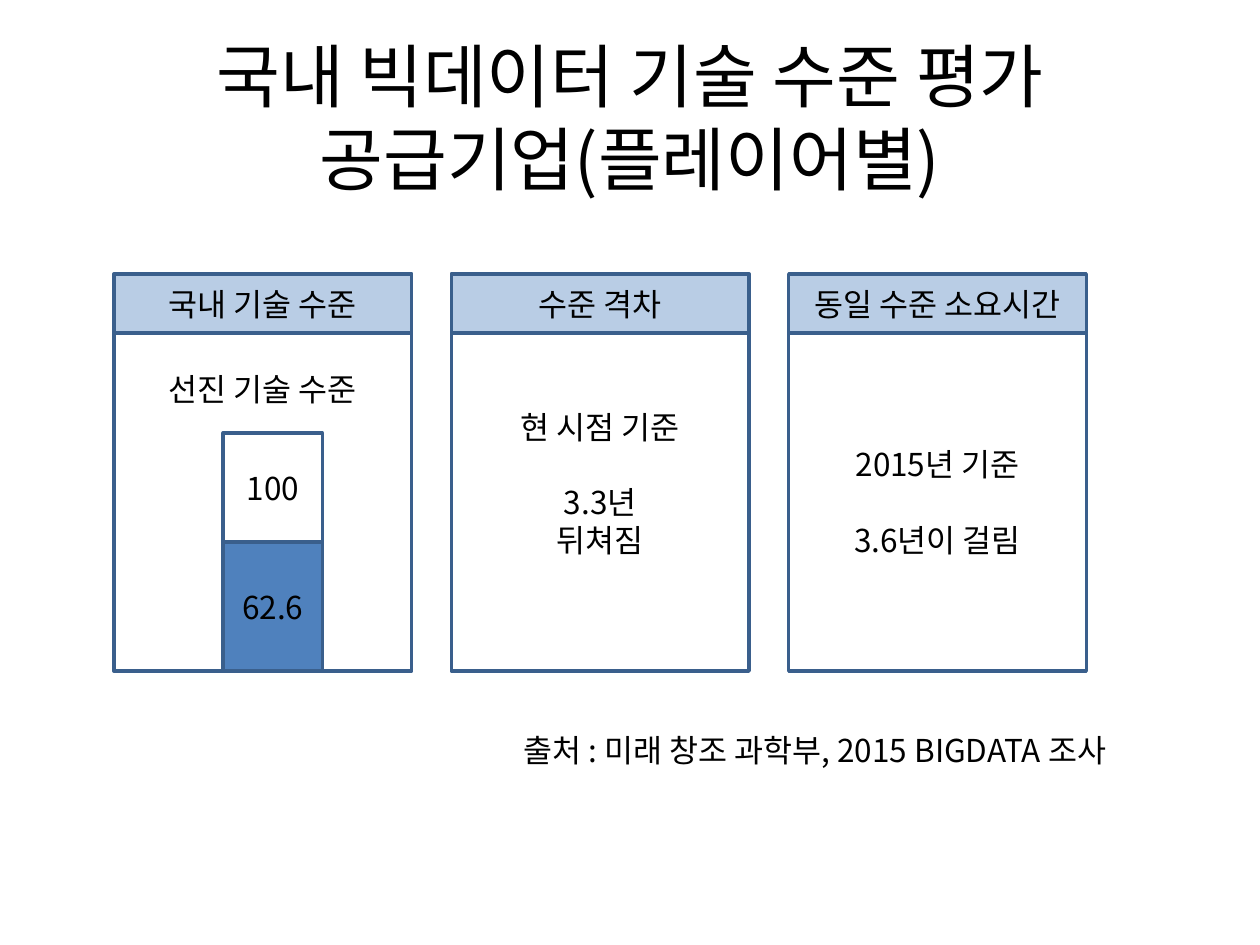
from lxml import etree
from pptx import Presentation
from pptx.dml.color import RGBColor
from pptx.enum import shapes, text
from pptx.oxml.ns import qn
from pptx.util import Cm, Pt

FONT = "Noto Sans CJK KR"
COLORS = {"text": "000000", "border": "3A5F8C", "header": "B9CDE5",
          "body": "FFFFFF", "bar": "4F81BD"}

TITLE = ["국내 빅데이터 기술 수준 평가", "공급기업(플레이어별)"]
SOURCE = "출처 : 미래 창조 과학부, 2015 BIGDATA 조사"
# heading, paragraphs (each a list of lines), distance from body top to text
CARDS = [
    ("국내 기술 수준", [["선진 기술 수준"]], 0.74),
    ("수준 격차", [["현 시점 기준"], ["3.3년", "뒤쳐짐"]], 1.5),
    ("동일 수준 소요시간", [["2015년 기준"], ["3.6년이 걸림"]], 2.26),
]
# label, fill, top, height
BARS = [("100", "body", 8.73, 2.2), ("62.6", "bar", 10.93, 2.6)]

CARD_LEFT, CARD_STEP, CARD_WIDTH = 2.3, 6.8, 6
HEADER_TOP, HEADER_HEIGHT, BODY_HEIGHT = 5.52, 1.2, 6.81
BAR_LEFT, BAR_WIDTH = 4.5, 2


def rgb(name):
    return RGBColor.from_string(COLORS[name])


def write(frame, paragraphs, size=18, align=text.PP_ALIGN.CENTER):
    """Fill a frame with paragraphs, each a list of lines, one line's gap between them."""
    for i, lines in enumerate(paragraphs):
        paragraph = frame.add_paragraph() if i else frame.paragraphs[0]
        paragraph.alignment = align
        if i:
            paragraph.space_before = Pt(size * 1.2)
        for j, line in enumerate(lines):
            if j:
                paragraph.add_line_break()
            run = paragraph.add_run()
            run.text = line
            run.font.size = Pt(size)
            run.font.name = FONT
            run.font.color.rgb = rgb("text")
            etree.SubElement(run.font._element, qn("a:ea"), typeface=FONT)


def add_box(group, left, top, width, height, fill, paragraphs, text_top=None):
    box = group.shapes.add_shape(shapes.MSO_SHAPE.RECTANGLE,
                                 Cm(left), Cm(top), Cm(width), Cm(height))
    box.shadow.inherit = False
    box.fill.solid()
    box.fill.fore_color.rgb = rgb(fill)
    box.line.color.rgb = rgb("border")
    box.line.width = Pt(2)
    frame = box.text_frame
    frame.word_wrap = True
    frame.vertical_anchor = text.MSO_ANCHOR.MIDDLE
    if text_top is not None:
        frame.vertical_anchor = text.MSO_ANCHOR.TOP
        frame.margin_top = Cm(text_top)
    write(frame, paragraphs)


def main():
    deck = Presentation()
    deck.slide_width, deck.slide_height = Cm(25.4), Cm(19.05)
    slide = deck.slides.add_slide(deck.slide_layouts[5])

    title = slide.shapes.title
    title.left, title.top, title.width, title.height = Cm(1.27), Cm(0.76), Cm(22.86), Cm(3.18)
    title.text_frame.vertical_anchor = text.MSO_ANCHOR.MIDDLE
    title.text_frame.auto_size = text.MSO_AUTO_SIZE.NONE
    write(title.text_frame, [TITLE], size=39.6)

    for i, (heading, paragraphs, text_top) in enumerate(CARDS):
        card = slide.shapes.add_group_shape()
        left = CARD_LEFT + i * CARD_STEP
        add_box(card, left, HEADER_TOP + HEADER_HEIGHT, CARD_WIDTH, BODY_HEIGHT,
                "body", paragraphs, text_top)
        if i == 0:
            for label, fill, top, height in BARS:
                add_box(card, BAR_LEFT, top, BAR_WIDTH, height, fill, [[label]])
        add_box(card, left, HEADER_TOP, CARD_WIDTH, HEADER_HEIGHT, "header", [[heading]])

    source = slide.shapes.add_textbox(Cm(10.31), Cm(14.61), Cm(13.39), Cm(1.02))
    source.text_frame.word_wrap = False
    source.text_frame.auto_size = text.MSO_AUTO_SIZE.SHAPE_TO_FIT_TEXT
    write(source.text_frame, [[SOURCE]], align=text.PP_ALIGN.LEFT)

    deck.save("out.pptx")


if __name__ == "__main__":
    main()
